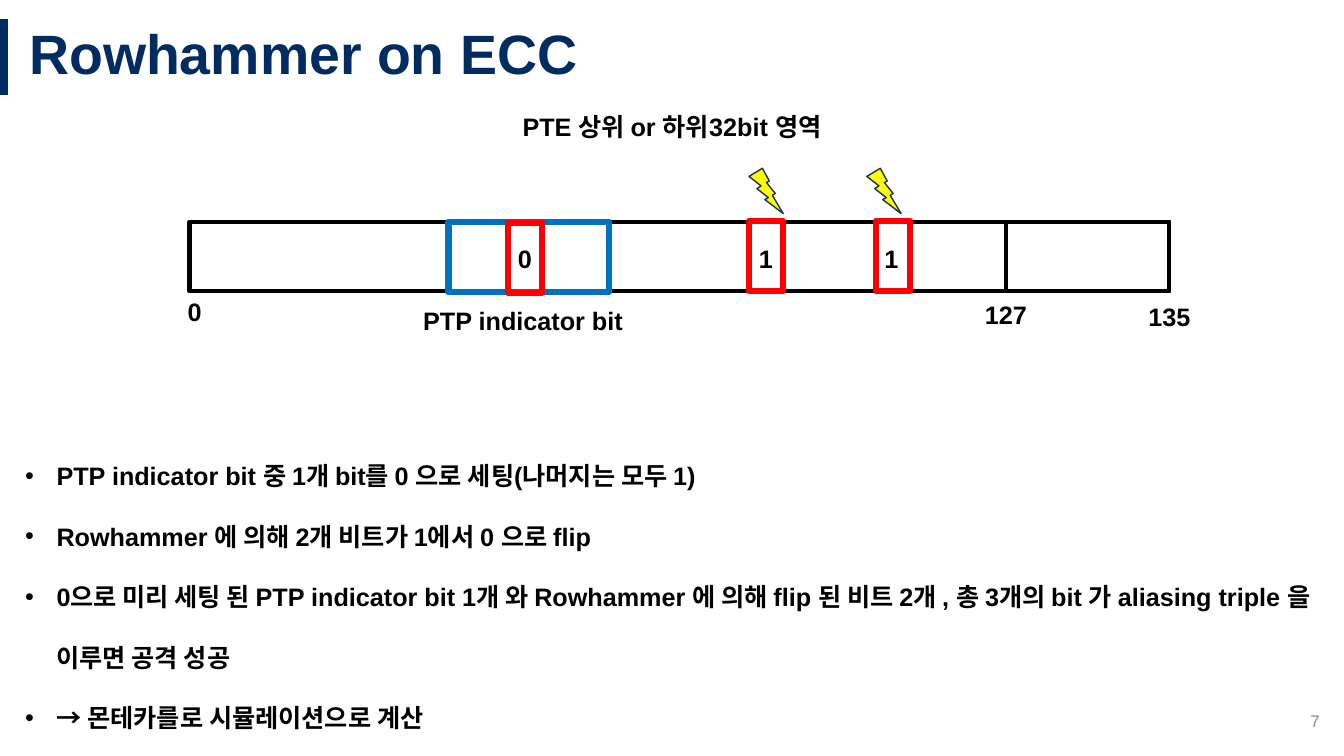
from lxml import etree
from pptx import Presentation
from pptx.dml.color import RGBColor
from pptx.enum import shapes as sh, text as tx
from pptx.oxml.ns import qn
from pptx.util import Pt

COLORS = {
    "navy": "002C62", "black": "000000", "gray": "8C8C8C", "red": "FF0000",
    "blue": "0070C0", "yellow": "FFFF00", "edge": "1E3256",
}
LEFT, MID, RIGHT = tx.PP_ALIGN.LEFT, tx.PP_ALIGN.CENTER, tx.PP_ALIGN.RIGHT


def rgb(name):
    return RGBColor.from_string(COLORS[name])


class Deck:
    def __init__(self, slide, face="Arial"):
        self.slide, self.face = slide, face

    def style(self, para, size, color, bold):
        font = para.font
        font.name, font.size, font.bold = self.face, Pt(size), bold
        font.color.rgb = rgb(color)

    def title(self, words, *box):
        item = self.slide.shapes.title
        item.left, item.top, item.width, item.height = map(Pt, box)
        frame = item.text_frame
        frame.text = words
        frame.auto_size = tx.MSO_AUTO_SIZE.NONE
        frame.vertical_anchor = tx.MSO_ANCHOR.MIDDLE
        para = frame.paragraphs[0]
        para.alignment, para.line_spacing = LEFT, 0.9
        self.style(para, 39.6, "navy", True)

    def frame(self, *box):
        frame = self.slide.shapes.add_textbox(*map(Pt, box)).text_frame
        frame.word_wrap = True
        return frame

    def label(self, words, x, y, w, h=29, align=LEFT, size=18,
              color="black", bold=True):
        frame = self.frame(x, y, w, h)
        frame.vertical_anchor = tx.MSO_ANCHOR.MIDDLE
        para = frame.paragraphs[0]
        para.text, para.alignment = words, align
        self.style(para, size, color, bold)

    def bullets(self, lines, *box):
        frame = self.frame(*box)
        for n, line in enumerate(lines):
            para = frame.add_paragraph() if n else frame.paragraphs[0]
            para.text, para.line_spacing = line, 2.0
            props = para._p.get_or_add_pPr()
            props.set("marL", str(Pt(22.5)))
            props.set("indent", str(-Pt(22.5)))
            etree.SubElement(props, qn("a:buFont")).set("typeface", self.face)
            etree.SubElement(props, qn("a:buChar")).set("char", "•")
            self.style(para, 18, "black", True)

    def shape(self, kind, box, line, width, fill=None):
        item = self.slide.shapes.add_shape(kind, *map(Pt, box))
        item.shadow.inherit = False
        if fill:
            item.fill.solid()
            item.fill.fore_color.rgb = rgb(fill)
        else:
            item.fill.background()
        item.line.color.rgb, item.line.width = rgb(line), Pt(width)

    def rect(self, box, line, width):
        self.shape(sh.MSO_SHAPE.RECTANGLE, box, line, width)

    def bolt(self, x, y):
        self.shape(sh.MSO_SHAPE.LIGHTNING_BOLT, (x, y, 24.5, 32.4),
                   "edge", 1, "yellow")

    def line(self, ends, color, width):
        item = self.slide.shapes.add_connector(
            sh.MSO_CONNECTOR.STRAIGHT, *map(Pt, ends))
        item.line.color.rgb, item.line.width = rgb(color), Pt(width)
        etree.SubElement(item._element.spPr, qn("a:effectLst"))


def main():
    prs = Presentation()
    prs.slide_width, prs.slide_height = Pt(960), Pt(540)
    deck = Deck(prs.slides.add_slide(prs.slide_layouts[5]))

    # Heading and page number
    deck.line((2.9, 13.7, 2.9, 67.7), "navy", 6)
    deck.title("Rowhammer on ECC", 13.7, 13.7, 946.3, 54)
    deck.label("7", 733.7, 500.4, 216, align=RIGHT, size=12,
               color="gray", bold=False)

    # Findings
    deck.bullets([
        "PTP indicator bit 중 1개 bit를 0 으로 세팅(나머지는 모두 1)",
        "Rowhammer 에 의해 2개 비트가 1에서 0 으로 flip",
        "0으로 미리 세팅 된 PTP indicator bit 1개 와 Rowhammer 에 의해 "
        "flip 된 비트 2개 , 총 3개의 bit 가 aliasing triple 을 이루면 공격 성공",
        "→ 몬테카를로 시뮬레이션으로 계산",
    ], 10.8, 303.8, 944, 219)

    # Code word with its check bits
    deck.rect((135.4, 158.4, 699.8, 49.7), "black", 3)
    deck.rect((718.6, 158.4, 116.6, 49.7), "black", 3)
    deck.label("0", 126.9, 208.1, 26.6)
    deck.label("127", 694.8, 210.2, 47.5, align=MID)
    deck.label("135", 811.6, 211.7, 47.5, align=MID)

    # Indicator bits
    deck.rect((320.4, 158.4, 114.5, 50.4), "blue", 4.5)
    deck.label("PTP indicator bit", 295.2, 214.6, 191.5)

    # Bits of the triple
    for bit, x, y, left in (("0", 362.9, 159.1, 362.9),
                            ("1", 535, 157.7, 535),
                            ("1", 625.7, 157.7, 624.6)):
        deck.rect((x, y, 24.5, 50.4), "red", 4.5)
        deck.label(bit, left, 170, 26.6)

    # Flips
    for x in (535, 619.2):
        deck.bolt(x, 120.2)
    deck.label("PTE 상위 or 하위32bit 영역", 354, 75.6, 252, align=MID)

    prs.save("out.pptx")


if __name__ == "__main__":
    main()
